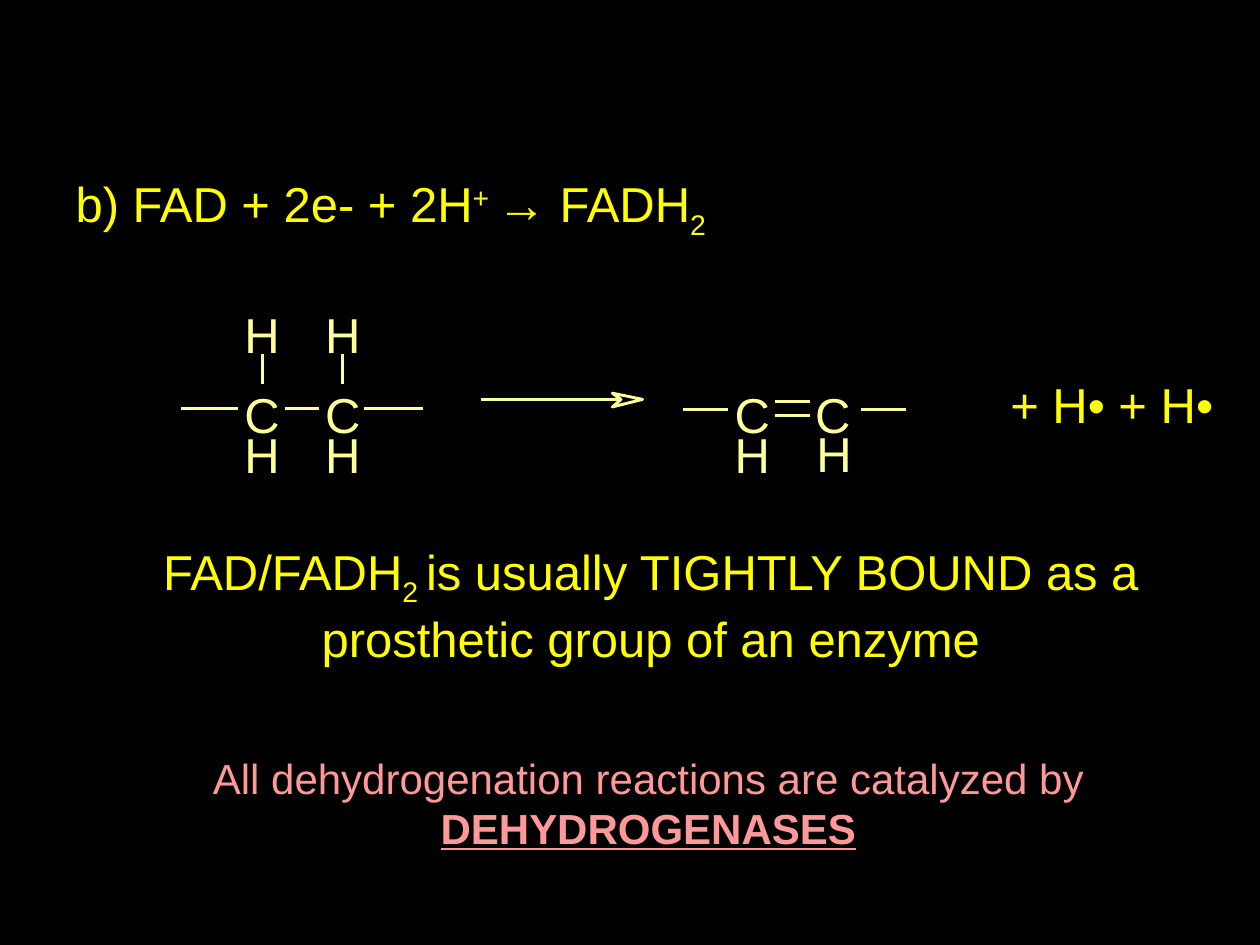
"""Build the slide on FAD reduction and dehydrogenases."""
from typing import NamedTuple

from lxml.etree import SubElement
from pptx import Presentation
from pptx.dml.color import RGBColor
from pptx.enum.shapes import MSO_CONNECTOR
from pptx.enum.text import MSO_AUTO_SIZE, PP_ALIGN
from pptx.oxml.ns import qn
from pptx.util import Inches, Pt

YELLOW, CREAM, PINK, BLACK = "FFFF00", "FFFF99", "FF9999", "000000"
WIDE, HIGH = 0.28, 0.47


class Part(NamedTuple):
    text: str
    base: int = 0
    strong: bool = False


class Atom(NamedTuple):
    name: str
    left: float
    top: float


class Bond(NamedTuple):
    left: float
    right: float
    top: float


ATOMS = [Atom(*spot) for x in (1.94, 2.58)
         for spot in (("H", x, 2.42), ("C", x, 3.05), ("H", x, 3.37))]
ATOMS += [Atom("C", 5.83, 3.05), Atom("H", 5.83, 3.37),
          Atom("C", 6.47, 3.05), Atom("H", 6.48, 3.36)]
BONDS = [Bond(1.44, 1.89, 3.24), Bond(2.26, 2.53, 3.24), Bond(2.89, 3.36, 3.24),
         Bond(3.82, 4.86, 3.17), Bond(5.42, 5.78, 3.25), Bond(6.15, 6.43, 3.19),
         Bond(6.15, 6.43, 3.3), Bond(6.83, 7.19, 3.25)]
HEAD = [(4.93, 3.17), (4.86, 3.12), (5.1, 3.17), (4.86, 3.23), (4.93, 3.17)]


def tint(code: str) -> RGBColor:
    """Turn a hex string into a colour."""
    return RGBColor.from_string(code)


def write(frame, parts: list, size=28, color=YELLOW, align=None) -> None:
    """Write formatted parts into the first paragraph."""
    para = frame.paragraphs[0]
    para.alignment = align
    para.space_before = Pt(0)
    for part in parts:
        run = para.add_run()
        run.text = part.text
        font = run.font
        font.name, font.size = "Arial", Pt(size)
        font.color.rgb = tint(color)
        if part.strong:
            font.bold = font.underline = True
        if part.base:
            run._r.get_or_add_rPr().set("baseline", str(part.base * 1000))


def add_text(slide, box: tuple, parts: list, wrap=True, inset=True, **look):
    """Add a text box and return it."""
    shape = slide.shapes.add_textbox(*map(Inches, box))
    frame = shape.text_frame
    frame.word_wrap = wrap
    frame.auto_size = MSO_AUTO_SIZE.SHAPE_TO_FIT_TEXT
    if not inset:
        frame.margin_left = frame.margin_right = 0
        frame.margin_top = frame.margin_bottom = 0
    write(frame, parts, **look)
    return shape


def add_atom(slide, atom: Atom):
    """Add the letter of an atom."""
    return add_text(slide, (atom.left, atom.top, WIDE, HIGH), [Part(atom.name)],
                    wrap=False, inset=False, color=CREAM, align=PP_ALIGN.CENTER)


def add_line(slide, start: tuple, end: tuple):
    """Add a thin straight line."""
    line = slide.shapes.add_connector(
        MSO_CONNECTOR.STRAIGHT, *map(Inches, start + end))
    line.line.color.rgb = tint(CREAM)
    line.line.width = Pt(1.63)
    SubElement(line._element.spPr, qn("a:effectLst"))
    return line


def add_head(slide) -> None:
    """Add the barbed head of the reaction arrow."""
    build = slide.shapes.build_freeform(Inches(4.86), Inches(3.17))
    build.add_line_segments([(Inches(x), Inches(y)) for x, y in HEAD], close=True)
    head = build.convert_to_shape()
    head.shadow.inherit = False
    head.fill.solid()
    head.fill.fore_color.rgb = tint(BLACK)
    head.line.color.rgb = tint(CREAM)
    head.line.width = Pt(1.63)


def add_lead(slide) -> None:
    """Place and fill the body placeholder."""
    body = slide.placeholders[1]
    body.left, body.top, body.width, body.height = map(
        Inches, (0.5, 1.33, 9.25, 0.83))
    frame = body.text_frame
    frame.auto_size = MSO_AUTO_SIZE.NONE
    props = frame.paragraphs[0]._p.get_or_add_pPr()
    props.set("marL", str(Inches(0.38)))
    props.set("indent", str(Inches(-0.38)))
    SubElement(props, qn("a:buNone"))
    write(frame, [Part("b) FAD + 2e- + 2H"), Part("+ ", 30),
                  Part("→ FADH"), Part("2", -25)], align=PP_ALIGN.LEFT)


def main() -> None:
    """Build and save the slide."""
    deck = Presentation()
    deck.slide_width, deck.slide_height = Inches(10), Inches(7.5)
    slide = deck.slides.add_slide(deck.slide_layouts[1])
    title = slide.shapes.title._element
    title.getparent().remove(title)
    slide.background.fill.solid()
    slide.background.fill.fore_color.rgb = tint(BLACK)

    add_lead(slide)
    add_text(slide, (0.75, 4.25, 8.83, 1.03),
             [Part("FAD/FADH"), Part("2 ", -25),
              Part("is usually TIGHTLY BOUND as a prosthetic group of an enzyme")],
             align=PP_ALIGN.CENTER)
    add_text(slide, (0.75, 5.92, 8.79, 0.9),
             [Part("All dehydrogenation reactions are catalyzed by "),
              Part("DEHYDROGENASES", strong=True)],
             size=24, color=PINK, align=PP_ALIGN.CENTER)
    add_text(slide, (7.92, 2.92, 1.81, 0.57), [Part("+ H• + H•")], wrap=False)

    boxes = [add_atom(slide, atom) for atom in ATOMS]
    for bond in BONDS:
        add_line(slide, (bond.left, bond.top), (bond.right, bond.top))
    for spot in (1, 4):
        mid = ATOMS[spot].left + WIDE / 2
        stem = add_line(slide, (mid, 3.05), (mid, 2.81))
        stem.begin_connect(boxes[spot], 0)
    add_head(slide)
    deck.save("out.pptx")


if __name__ == "__main__":
    main()
